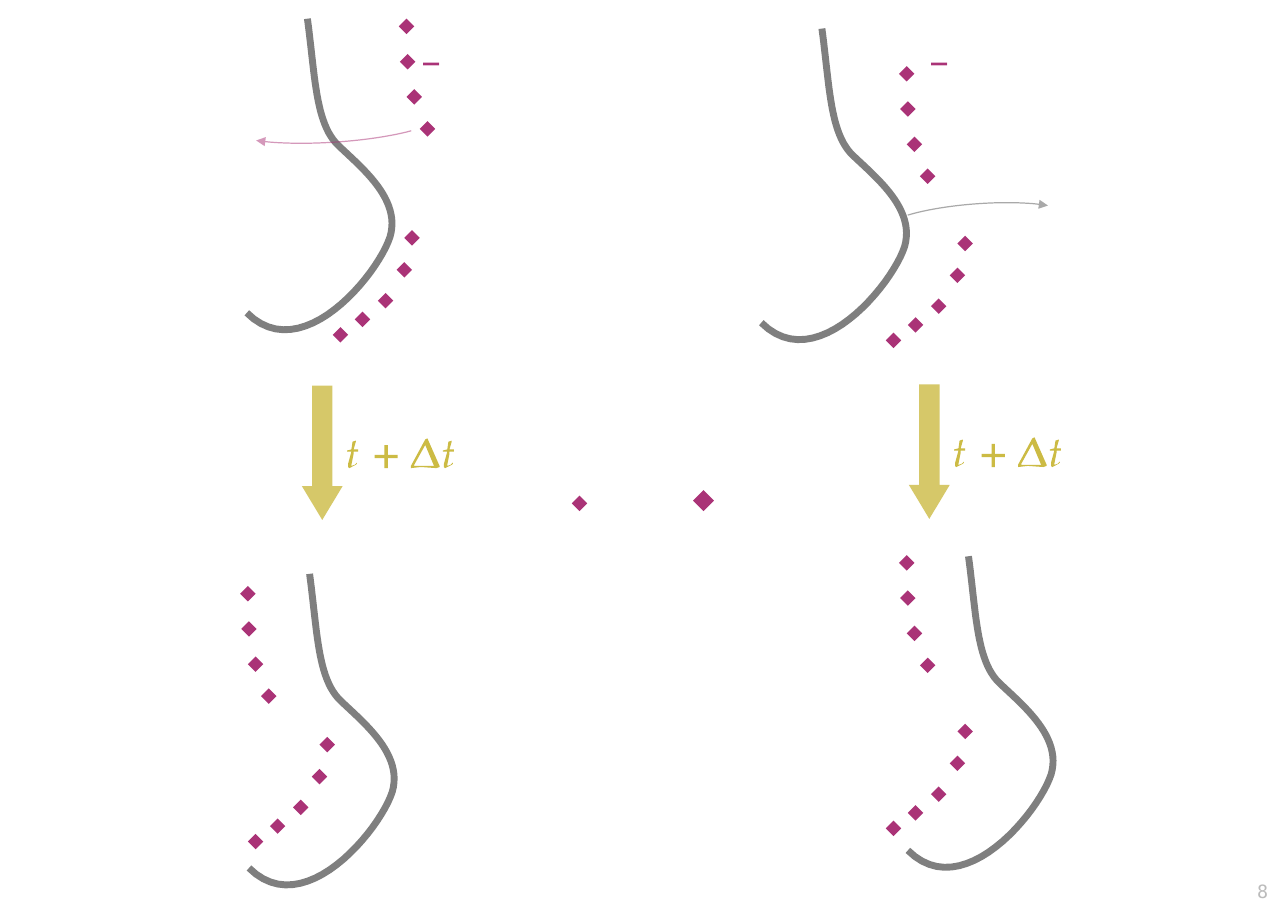
from dataclasses import dataclass

import pptx
import pptx.dml.color
import pptx.enum.shapes
import pptx.enum.text
import pptx.oxml
import pptx.oxml.ns
import pptx.util

PX = 9144  # EMU per px, 100 px to the inch
SHAPE = pptx.enum.shapes.MSO_SHAPE
ALIGN = pptx.enum.text.PP_ALIGN


@dataclass(frozen=True)
class Theme:
    charge: str = "AA3377"
    curve: str = "555555"
    time: str = "CCBB44"
    number: str = "BBBBBB"
    serif: str = "TeX Gyre Pagella"
    mono: str = "DejaVu Sans Mono"
    sign_pt: int = 21
    number_pt: int = 12
    curve_pt: float = 4.5
    arc_pt: float = 0.79


def bezier(p0, p1, p2, p3, steps=24):
    """Points along a cubic curve, without its first one."""
    for i in range(1, steps + 1):
        t = i / steps
        u = 1 - t
        yield tuple(u**3 * a + 3 * u * u * t * b + 3 * u * t * t * c + t**3 * d
                    for a, b, c, d in zip(p0, p1, p2, p3))


def place(x, y, points):
    """Points relative to (x, y), as EMU on the slide."""
    return [((x + dx) * PX, (y + dy) * PX) for dx, dy in points]


class Canvas:
    def __init__(self, prs, theme):
        self.theme = theme
        self.s = prs.slides.add_slide(prs.slide_layouts[6])

    def paint(self, fmt, color, opacity=100):
        """Solid colour on a fill, with opacity in percent."""
        fmt.solid()
        fmt.fore_color.rgb = pptx.dml.color.RGBColor.from_string(color)
        if opacity < 100:
            clr = fmt._xPr.find(".//" + pptx.oxml.ns.qn("a:srgbClr"))
            alpha = pptx.oxml.parse_xml(f'<a:alpha {pptx.oxml.ns.nsdecls("a")}/>')
            alpha.set("val", str(opacity * 1000))
            clr.append(alpha)

    def fill(self, sp, color, opacity=100):
        sp.shadow.inherit = False
        self.paint(sp.fill, color, opacity)
        sp.line.fill.background()

    def outline(self, sp, color, width, opacity):
        sp.shadow.inherit = False
        sp.fill.background()
        self.paint(sp.line.fill, color, opacity)
        sp.line.width = pptx.util.Pt(width)

    def shape(self, kind, x, y, w, h):
        return self.s.shapes.add_shape(kind, *(v * PX for v in (x, y, w, h)))

    def diamond(self, x, y, size=14):
        self.fill(self.shape(SHAPE.DIAMOND, x, y, size, size), self.theme.charge)

    def down_arrow(self, x, y, w, h):
        sp = self.shape(SHAPE.DOWN_ARROW, x, y, w, h)
        sp.adjustments[0], sp.adjustments[1] = 0.5, 0.83
        self.fill(sp, self.theme.time, 80)

    def arc_arrow(self, x, y, w, h, rotation, start, end, color):
        sp = self.shape(SHAPE.ARC, x, y, w, h)
        sp.rotation = rotation
        sp.adjustments[0], sp.adjustments[1] = start, end
        self.outline(sp, color, self.theme.arc_pt, 50)
        sp.line._get_or_add_ln().append(pptx.oxml.parse_xml(
            f'<a:tailEnd {pptx.oxml.ns.nsdecls("a")} type="triangle"/>'))

    def curve(self, x, y, points):
        """Open chain of cubic curves."""
        pts = place(x, y, points)
        fb = self.s.shapes.build_freeform(*pts[0])
        for i in range(0, len(pts) - 1, 3):
            fb.add_line_segments(list(bezier(*pts[i:i + 4])), close=False)
        self.outline(fb.convert_to_shape(), self.theme.curve, self.theme.curve_pt, 75)

    def glyph(self, x, y, contours):
        """Filled math symbol; later contours cut holes in the first."""
        first, *holes = (place(x, y, contour) for contour in contours)
        fb = self.s.shapes.build_freeform(*first[0])
        fb.add_line_segments(first[1:])
        for hole in holes:
            fb.move_to(*hole[0])
            fb.add_line_segments(hole[1:])
        self.fill(fb.convert_to_shape(), self.theme.time)

    def text(self, text, x, y, w, h, size, color, font, align=ALIGN.LEFT, bold=False):
        sp = self.s.shapes.add_textbox(*(v * PX for v in (x, y, w, h)))
        tf = sp.text_frame
        tf.word_wrap = True
        p = tf.paragraphs[0]
        p.text = text
        p.alignment = align
        p.font.name, p.font.size, p.font.bold = font, pptx.util.Pt(size), bold
        self.paint(p.font.fill, color)


MEMBRANE = [(55, 0), (62, 51), (62, 95), (83, 115), (105, 136), (140, 164),
            (130, 198), (119, 232), (50, 317), (0, 267)]
UPPER_CHARGES = [(0, 0), (1, 32), (7, 64), (19, 93)]
LOWER_CHARGES = [(0, 0), (-7, 29), (-24, 57), (-45, 74), (-65, 88)]
# origins of the membrane, the upper and the lower charges
PANELS = [
    ((226, 521), (218, 532), (290, 669)),
    ((824, 505), (816, 504), (869, 657)),
    ((691, 26), (816, 60), (869, 214)),
    ((224, 17), (362, 17), (367, 209)),
]

LETTER_T = [[(9, 21), (9, 20), (7, 22), (4, 23), (4, 22), (6, 12), (6, 10), (10, 10),
             (10, 8), (6, 8), (8, 1), (8, 0), (5, 1), (4, 8), (0, 9), (0, 10), (4, 10),
             (1, 21), (1, 24), (2, 25), (8, 22)]]
PLUS = [[(0, 9), (9, 9), (9, 0), (12, 0), (12, 9), (21, 9), (21, 12), (12, 12),
         (12, 21), (9, 21), (9, 12), (0, 12)]]
DELTA = [[(13, 1), (0, 25), (0, 27), (9, 26), (23, 27), (26, 26), (26, 25), (15, 0)],
         [(21, 25), (3, 25), (3, 24), (13, 6)]]
TIME_STEP = [(0, 0, LETTER_T), (25, 4, PLUS), (58, -2, DELTA), (87, 0, LETTER_T)]


def main():
    prs = pptx.Presentation()
    prs.slide_width, prs.slide_height = 1169 * PX, 827 * PX
    th = Theme()
    c = Canvas(prs, th)

    c.text("8", 1061, 794, 100, 29, th.number_pt, th.number, th.mono, ALIGN.RIGHT)
    for membrane, upper, lower in PANELS:
        c.curve(*membrane, MEMBRANE)
        for (x, y), chain in ((upper, UPPER_CHARGES), (lower, LOWER_CHARGES)):
            for dx, dy in chain:
                c.diamond(x + dx, y + dy)

    for x, y in ((274, 350), (825, 349)):
        c.down_arrow(x, y, 37, 122)
        for dx, dy, contours in TIME_STEP:
            c.glyph(x + 41 + dx, y + 50 + dy, contours)

    c.arc_arrow(208, 92, 192, 37, 356.1, 6.42, 102.29, th.charge)
    c.arc_arrow(800, 185, 173, 37, 175.7, 7.09, 101.77, th.curve)

    for x in (836, 375):
        c.text("–", x, 32, 34, 50, th.sign_pt, th.charge, th.serif, bold=True)

    c.diamond(519, 450)
    c.diamond(629, 445, 19)
    prs.save("out.pptx")


if __name__ == "__main__":
    main()
